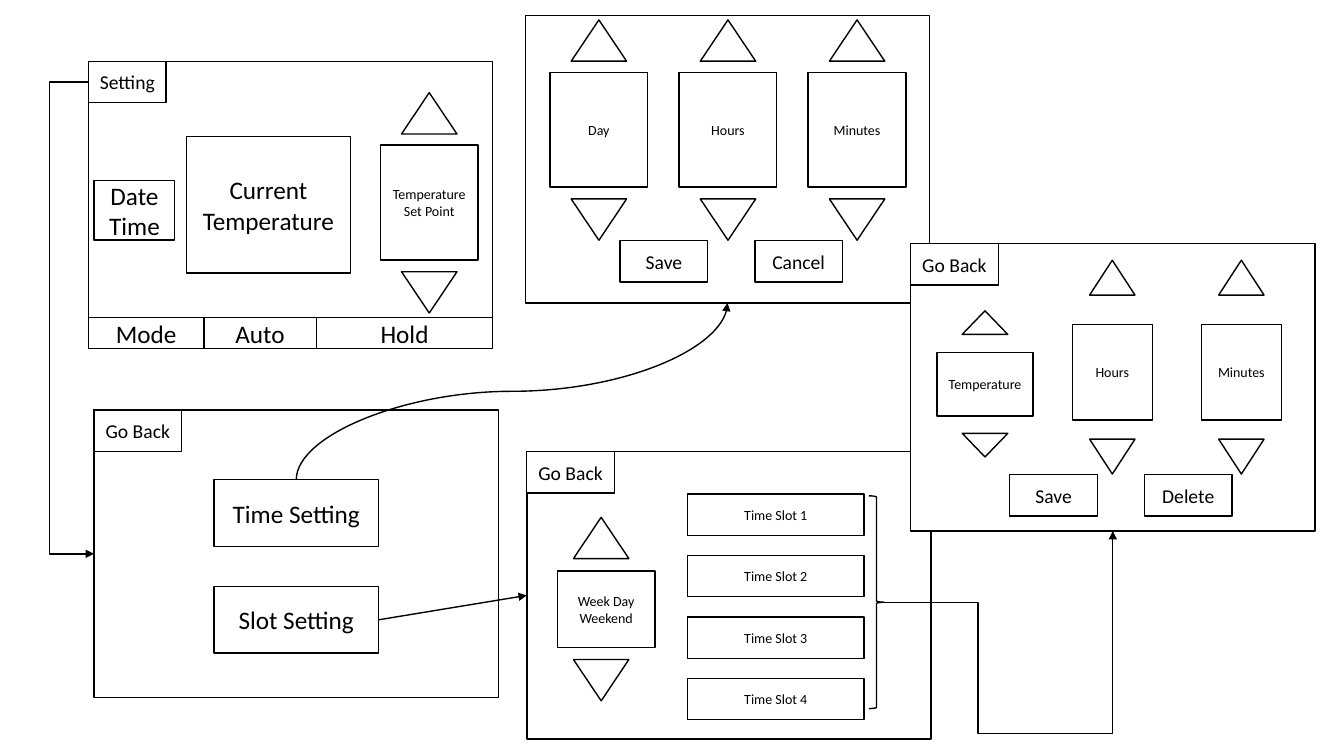
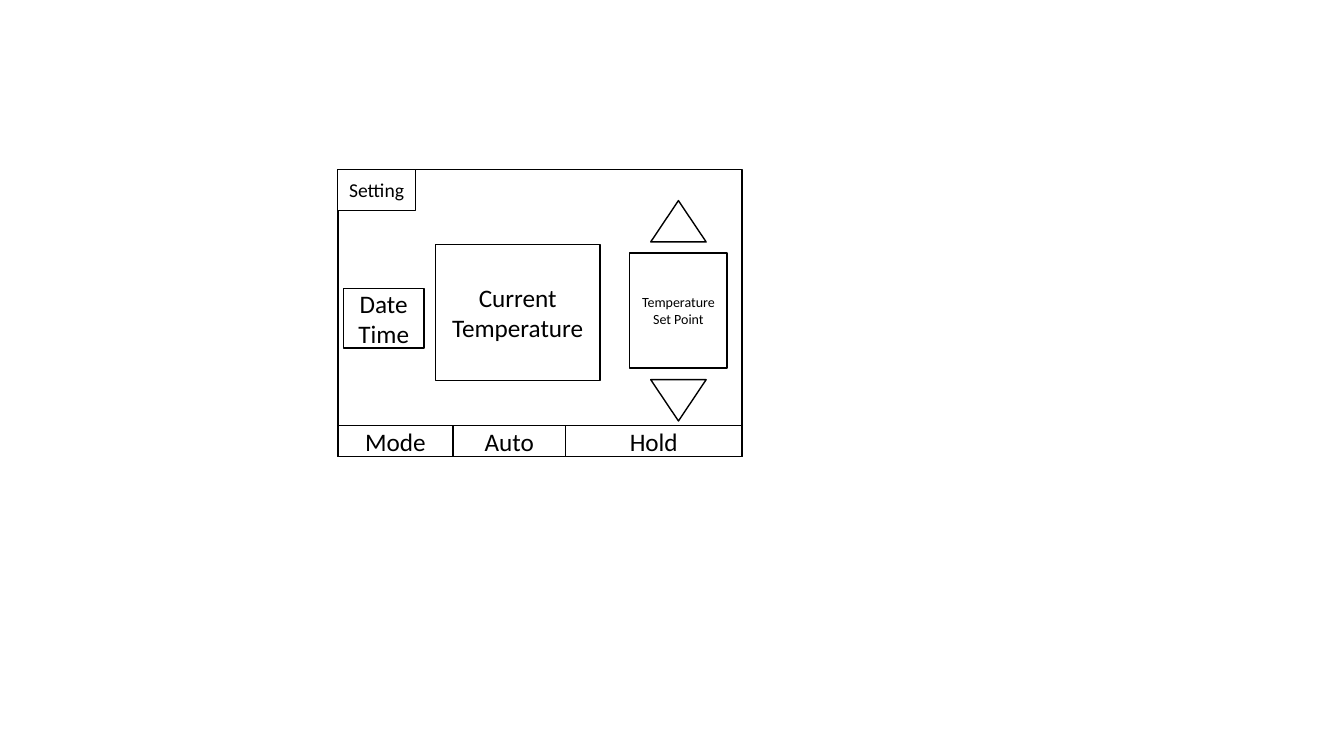
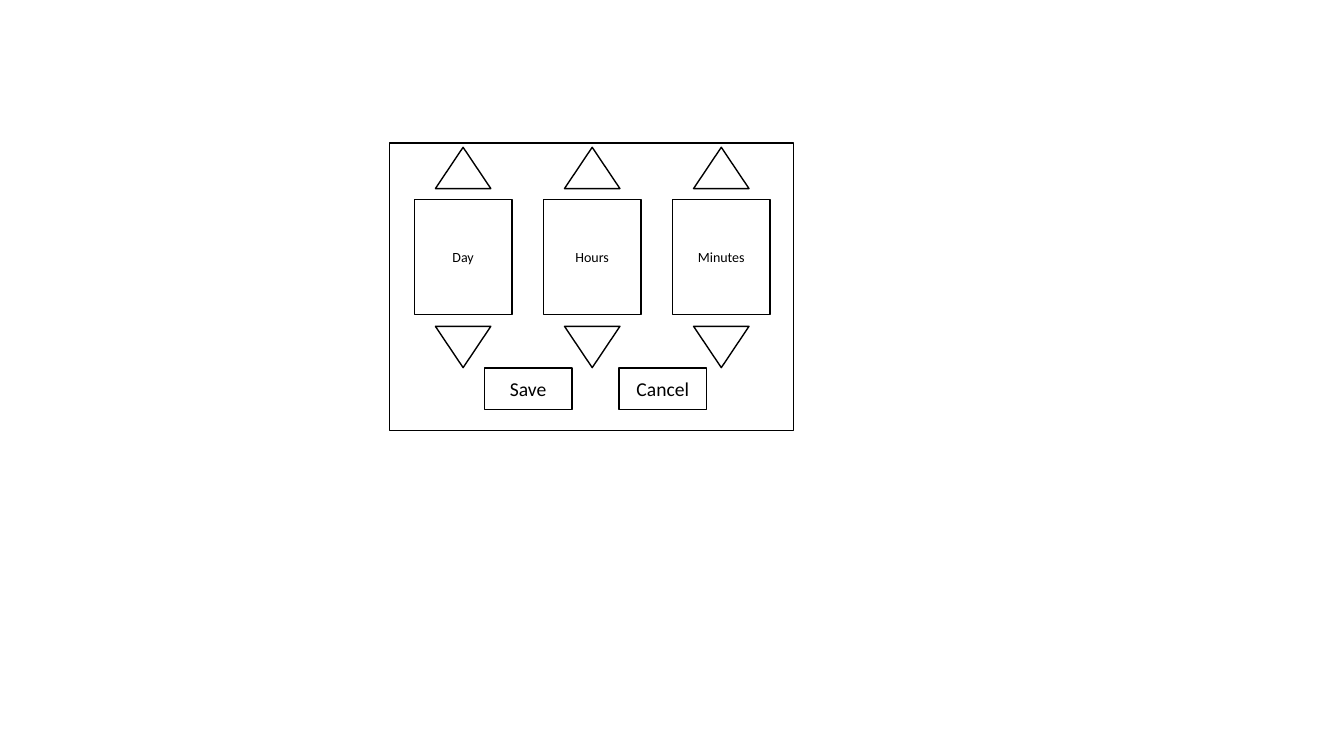
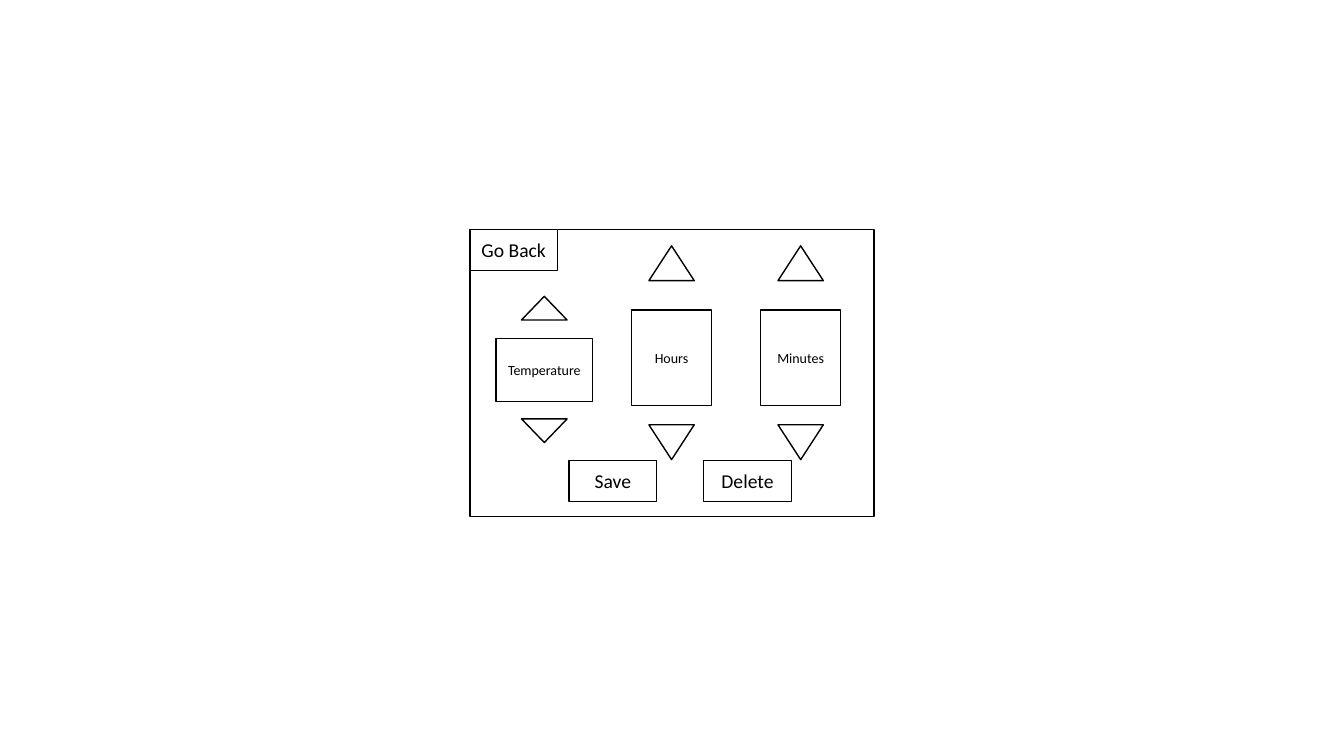
"""Build the wireframes of a thermostat's screens and the flow between them."""
import pptx
import pptx.dml.color
import pptx.enum.dml
import pptx.enum.shapes
import pptx.enum.text
import pptx.oxml
import pptx.oxml.ns
import pptx.util
import lxml.etree

Pt = pptx.util.Pt
SHAPES = pptx.enum.shapes.MSO_SHAPE
CONNECTORS = pptx.enum.shapes.MSO_CONNECTOR
INK, PAPER, FONT = "000000", "FFFFFF", "Calibri"
SCREEN_WIDTH, SCREEN_HEIGHT = 288.7, 205.2
BUTTON_WIDTH, BUTTON_HEIGHT = 62.6, 29.5
FIELD_WIDTH, FIELD_HEIGHT = 69.8, 82
ARROW_SIZE = (39.6, 29.5)
COLUMN_PITCH, BUTTON_PITCH, SLOT_PITCH = 92.2, 96.2, 43.9
TOP, LEFT, BOTTOM, RIGHT = range(4)
BRACE_TIP = 1


def paint(color_format, color):
    """Give a fill or line colour the value of a hex string."""
    color_format.rgb = pptx.dml.color.RGBColor.from_string(color)


def outline(line):
    """Draw a line in the shared ink and weight."""
    line.fill.solid()
    paint(line.fill.fore_color, INK)
    line.width = Pt(1)


def add_outlined(slide, kind, left, top, width, height, fill=PAPER):
    """Add a flat outlined shape, unfilled when fill is None."""
    shape = slide.shapes.add_shape(kind, Pt(left), Pt(top), Pt(width), Pt(height))
    shape.shadow.inherit = False
    if fill:
        shape.fill.solid()
        paint(shape.fill.fore_color, fill)
    else:
        shape.fill.background()
    outline(shape.line)
    return shape


def add_box(slide, left, top, width, height, text, size):
    """Add a rectangle with centred text, one paragraph for each line."""
    shape = add_outlined(slide, SHAPES.RECTANGLE, left, top, width, height)
    frame = shape.text_frame
    frame.text = text
    frame.word_wrap = True
    frame.vertical_anchor = pptx.enum.text.MSO_ANCHOR.MIDDLE
    for paragraph in frame.paragraphs:
        paragraph.alignment = pptx.enum.text.PP_ALIGN.CENTER
        paragraph.font.size = Pt(size)
        paragraph.font.name = FONT
        paint(paragraph.font.color, INK)
    return shape


def add_screen(slide, left, top):
    """Add the empty frame of one screen."""
    return add_outlined(slide, SHAPES.RECTANGLE, left, top, SCREEN_WIDTH, SCREEN_HEIGHT)


def add_button(slide, left, top, text, width=BUTTON_WIDTH):
    """Add a small button."""
    return add_box(slide, left, top, width, BUTTON_HEIGHT, text, 14)


def add_button_pair(slide, left, top, labels):
    """Add a row of equally spaced buttons."""
    for index, label in enumerate(labels):
        add_button(slide, left + index * BUTTON_PITCH, top, label)


def add_stepper(slide, left, top, width, height, text, arrow=ARROW_SIZE,
                gap_above=8, gap_below=8.4, nudge=0):
    """Add a value field with an up arrow above and a down arrow below."""
    add_box(slide, left, top, width, height, text, 10)
    arrow_width, arrow_height = arrow
    arrow_left = left + (width - arrow_width) / 2 + nudge
    rows = ((top - gap_above - arrow_height, 0), (top + height + gap_below, 180))
    for arrow_top, rotation in rows:
        triangle = add_outlined(slide, SHAPES.ISOSCELES_TRIANGLE,
                                arrow_left, arrow_top, arrow_width, arrow_height)
        triangle.rotation = rotation


def add_home_screen(slide, left, top):
    """Add the home screen and return its setting button."""
    add_screen(slide, left, top)
    setting = add_button(slide, left, top, "Setting", 55.4)
    add_box(slide, left + 69.8, top + 53.8, 117.4, 97.2, "Current\nTemperature", 18)
    add_box(slide, left + 4, top + 85, 57.6, 42.5, "Date\nTime", 18)
    tab_left = left
    for label, width in (("Mode", 82.3), ("Auto", 80.3), ("Hold", 126.1)):
        add_box(slide, tab_left, top + 182.9, width, 22.3, label, 18)
        tab_left += width
    add_stepper(slide, left + 208.4, top + 59.8, FIELD_WIDTH, FIELD_HEIGHT,
                "Temperature\nSet Point")
    return setting


def add_menu_screen(slide, left, top):
    """Add the settings menu and return its frame and two choices."""
    screen = add_screen(slide, left, top)
    add_button(slide, left, top, "Go Back")
    choices = [add_box(slide, left + 85.7, top + 49.7 + index * 76.3, 117.4, 47.5, label, 18)
               for index, label in enumerate(("Time Setting", "Slot Setting"))]
    return screen, *choices


def add_clock_screen(slide, left, top):
    """Add the time setting screen and return its frame."""
    screen = add_screen(slide, left, top)
    for index, label in enumerate(("Day", "Hours", "Minutes")):
        add_stepper(slide, left + 17.6 + index * COLUMN_PITCH, top + 40.5,
                    FIELD_WIDTH, FIELD_HEIGHT, label)
    add_button_pair(slide, left + 67.7, top + 160.7, ("Save", "Cancel"))
    return screen


def add_schedule_screen(slide, left, top):
    """Add the slot list and return its frame and the brace beside the slots."""
    screen = add_screen(slide, left, top)
    add_button(slide, left, top, "Go Back")
    add_stepper(slide, left + 21.8, top + 85.3, FIELD_WIDTH, 54.7, "Week Day\nWeekend",
                gap_above=9, nudge=-3.6)
    for index in range(4):
        add_box(slide, left + 114.8, top + 30.2 + index * SLOT_PITCH, 126, BUTTON_HEIGHT,
                f"Time Slot {index + 1}", 10)
    brace = add_outlined(slide, SHAPES.RIGHT_BRACE, left + 244.4, top + 31.5, 10.8, 152, None)
    return screen, brace


def add_slot_screen(slide, left, top):
    """Add the editor of one time slot and return its frame."""
    screen = add_screen(slide, left, top)
    add_button_pair(slide, left + 70.8, top + 165, ("Save", "Delete"))
    add_stepper(slide, left + 18.7, top + 77.8, 68.8, 45.4, "Temperature",
                (32.6, 16.9), 13, 12.2)
    add_button(slide, left, top, "Go Back")
    for index, label in enumerate(("Hours", "Minutes")):
        add_stepper(slide, left + 115.4 + index * COLUMN_PITCH, top + 57.6, 57.2, 68.4,
                    label, (32.4, 24.9), 20.9, 13.6)
    return screen


def add_link(slide, kind, source, source_site, target, target_site):
    """Join two shapes with an arrow."""
    connector = slide.shapes.add_connector(kind, 0, 0, 0, 0)
    connector.begin_connect(source, source_site)
    connector.end_connect(target, target_site)
    outline(connector.line)
    line = connector.line._get_or_add_ln()
    lxml.etree.SubElement(line, pptx.oxml.ns.qn("a:tailEnd"), type="triangle")
    lxml.etree.SubElement(connector._element.spPr, pptx.oxml.ns.qn("a:effectLst"))
    return connector


def bend(connector, preset, *ratios):
    """Set a connector's preset path and where it turns, as shares of its size."""
    geometry = connector._element.spPr.find(pptx.oxml.ns.qn("a:prstGeom"))
    geometry.set("prst", preset)
    guides = geometry.find(pptx.oxml.ns.qn("a:avLst"))
    for index, ratio in enumerate(ratios, 1):
        lxml.etree.SubElement(guides, pptx.oxml.ns.qn("a:gd"), name=f"adj{index}",
                              fmla=f"val {round(ratio * 100000)}")


def turn_upright(connector):
    """Turn a rising connector so that it leaves and arrives vertically."""
    left, top, width, height = (connector.left, connector.top,
                                connector.width, connector.height)
    connector.left = left + (width - height) // 2
    connector.top = top + (height - width) // 2
    connector.width, connector.height = height, width
    transform = connector._element.spPr.find(pptx.oxml.ns.qn("a:xfrm"))
    for name, value in (("rot", "5400000"), ("flipH", "1"), ("flipV", "1")):
        transform.set(name, value)


def build_flow(slide):
    """Fill a slide with all screens and the arrows between them."""
    setting = add_home_screen(slide, 63.3, 43.9)
    menu, time_choice, slot_choice = add_menu_screen(slide, 67.2, 293)
    clock = add_clock_screen(slide, 375.3, 11.2)
    schedule, brace = add_schedule_screen(slide, 376.3, 322.7)
    slot = add_slot_screen(slide, 650.5, 174.1)

    to_menu = add_link(slide, CONNECTORS.ELBOW, setting, LEFT, menu, LEFT)
    bend(to_menu, "bentConnector3", (Pt(35.4) - setting.left) / to_menu.width)

    to_clock = add_link(slide, CONNECTORS.CURVE, time_choice, TOP, clock, BOTTOM)
    turn_upright(to_clock)
    bend(to_clock, "curvedConnector3", 0.5)

    add_link(slide, CONNECTORS.STRAIGHT, slot_choice, RIGHT, schedule, LEFT)

    to_slot = add_link(slide, CONNECTORS.ELBOW, brace, BRACE_TIP, slot, BOTTOM)
    to_slot.begin_x = brace.left + brace.width
    bend(to_slot, "bentConnector4", (Pt(698.5) - to_slot.begin_x) / to_slot.width,
         (to_slot.begin_y - Pt(524)) / to_slot.height)


def main():
    """Build the presentation and save it."""
    presentation = pptx.Presentation()
    presentation.slide_width, presentation.slide_height = Pt(960), Pt(540)
    blank = presentation.slide_layouts[6]
    build_flow(presentation.slides.add_slide(blank))
    for add_content, left, top in ((add_home_screen, 241.3, 121),
                                   (add_clock_screen, 278.3, 102.2),
                                   (add_slot_screen, 335.7, 163.8)):
        add_content(presentation.slides.add_slide(blank), left, top)
    presentation.save("out.pptx")


if __name__ == "__main__":
    main()
